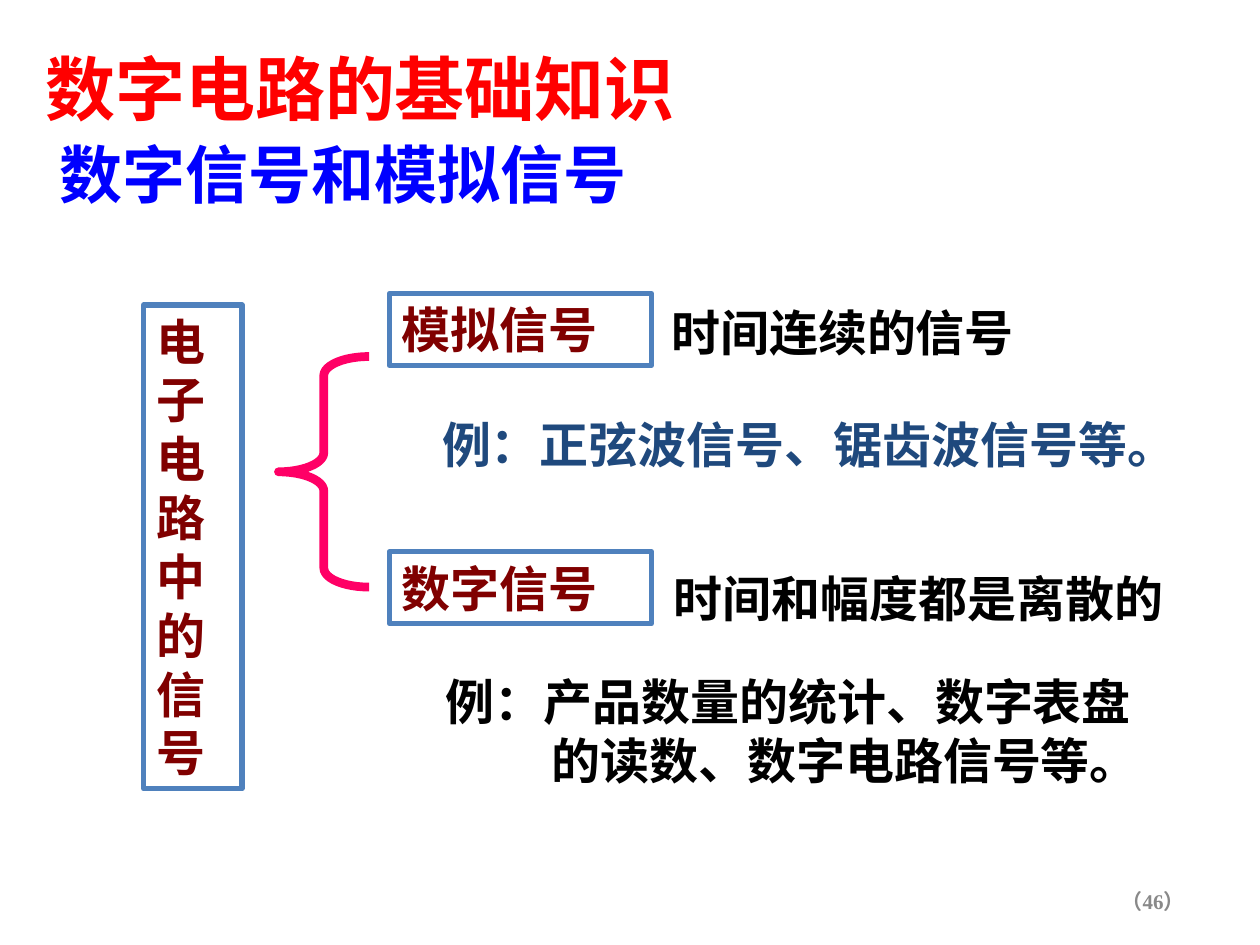
from dataclasses import dataclass

from pptx import Presentation
from pptx import util as u
from pptx.dml.color import RGBColor
from pptx.enum import shapes, text

FONT = "Times New Roman"
RED = RGBColor(0xFF, 0x00, 0x00)
BLUE = RGBColor(0x00, 0x00, 0xFF)
MAROON = RGBColor(0x80, 0x00, 0x00)
BLACK = RGBColor(0x00, 0x00, 0x00)
NAVY = RGBColor(0x1F, 0x49, 0x7D)
GREY = RGBColor(0x89, 0x89, 0x89)
BORDER = RGBColor(0x4F, 0x81, 0xBD)
PINK = RGBColor(0xFF, 0x00, 0x66)

COLUMNS, ROWS = 100, 75
WIDTH, HEIGHT = u.Inches(10), u.Inches(7.5)
LINE_ROWS = 5.7
BRANCH_COLUMN, BRANCH_COLUMNS = 30.9, 20.8


@dataclass(frozen=True)
class Area:
    column: float
    row: float
    columns: float
    rows: float = LINE_ROWS

    def lengths(self) -> tuple[int, int, int, int]:
        return (int(WIDTH * self.column / COLUMNS), int(HEIGHT * self.row / ROWS),
                int(WIDTH * self.columns / COLUMNS), int(HEIGHT * self.rows / ROWS))


@dataclass(frozen=True)
class Label:
    words: str
    area: Area
    color: RGBColor = BLACK
    size: int = 28
    hanging: float = 0
    before: float = 0


HEADING = Label("数字电路的基础知识", Area(2.6, 3.1, 88.1, 7.7), RED, 40)
NUMBER = Label("（46）", Area(71.7, 69.5, 23.3, 4), GREY, 12)

FRAMED = [
    Label("电子电路中的信号", Area(11.4, 24.2, 7.8, 38.4), MAROON),
    Label("模拟信号", Area(BRANCH_COLUMN, 23.3, BRANCH_COLUMNS), MAROON),
    Label("数字信号", Area(BRANCH_COLUMN, 43.8, BRANCH_COLUMNS), MAROON),
]

PLAIN = [
    Label("数字信号和模拟信号", Area(3.7, 10.3, 69.9, 7), BLUE, 36),
    Label("时间连续的信号", Area(52.3, 23.5, 37.5)),
    Label("时间和幅度都是离散的", Area(52.5, 44.6, 47.5)),
    Label("例：正弦波信号、锯齿波信号等。", Area(34.1, 32.4, 61.5), NAVY),
    Label("例：产品数量的统计、数字表盘的读数、数字电路信号等。",
          Area(34.4, 52.8, 59, 10.4), hanging=0.84, before=17.5),
]

BRACE = Area(22.1, 28.3, 7.2, 18.3)


def write(shape, label: Label, align=text.PP_ALIGN.LEFT,
          anchor=text.MSO_ANCHOR.TOP, fit=text.MSO_AUTO_SIZE.SHAPE_TO_FIT_TEXT) -> None:
    frame = shape.text_frame
    frame.text = label.words
    frame.word_wrap = True
    frame.auto_size = fit
    frame.vertical_anchor = anchor
    para = frame.paragraphs[0]
    para.alignment = align
    if label.before:
        para.space_before = u.Pt(label.before)
    if label.hanging:
        indent = u.Inches(label.hanging)
        properties = para._p.get_or_add_pPr()
        properties.set("marL", str(indent))
        properties.set("indent", str(-indent))
    font = para.runs[0].font
    font.name, font.size, font.bold = FONT, u.Pt(label.size), True
    font.color.rgb = label.color


def add_outline(page, kind, area: Area, color: RGBColor, weight: float):
    shape = page.shapes.add_shape(kind, *area.lengths())
    shape.shadow.inherit = False
    shape.fill.background()
    shape.line.color.rgb = color
    shape.line.width = u.Pt(weight)
    return shape


def add_heading(page, label: Label) -> None:
    title = page.shapes.title
    title.left, title.top, title.width, title.height = label.area.lengths()
    write(title, label)


def main() -> None:
    deck = Presentation()
    deck.slide_width, deck.slide_height = WIDTH, HEIGHT
    page = deck.slides.add_slide(deck.slide_layouts[5])

    add_heading(page, HEADING)
    for label in FRAMED:
        box = add_outline(page, shapes.MSO_SHAPE.RECTANGLE, label.area, BORDER, 3)
        write(box, label)

    brace = add_outline(page, shapes.MSO_SHAPE.LEFT_BRACE, BRACE, PINK, 5)
    brace.adjustments[0] = 0.21

    for label in PLAIN:
        write(page.shapes.add_textbox(*label.area.lengths()), label)
    write(page.shapes.add_textbox(*NUMBER.area.lengths()), NUMBER,
          text.PP_ALIGN.RIGHT, text.MSO_ANCHOR.MIDDLE, text.MSO_AUTO_SIZE.NONE)

    deck.save("out.pptx")


if __name__ == "__main__":
    main()
